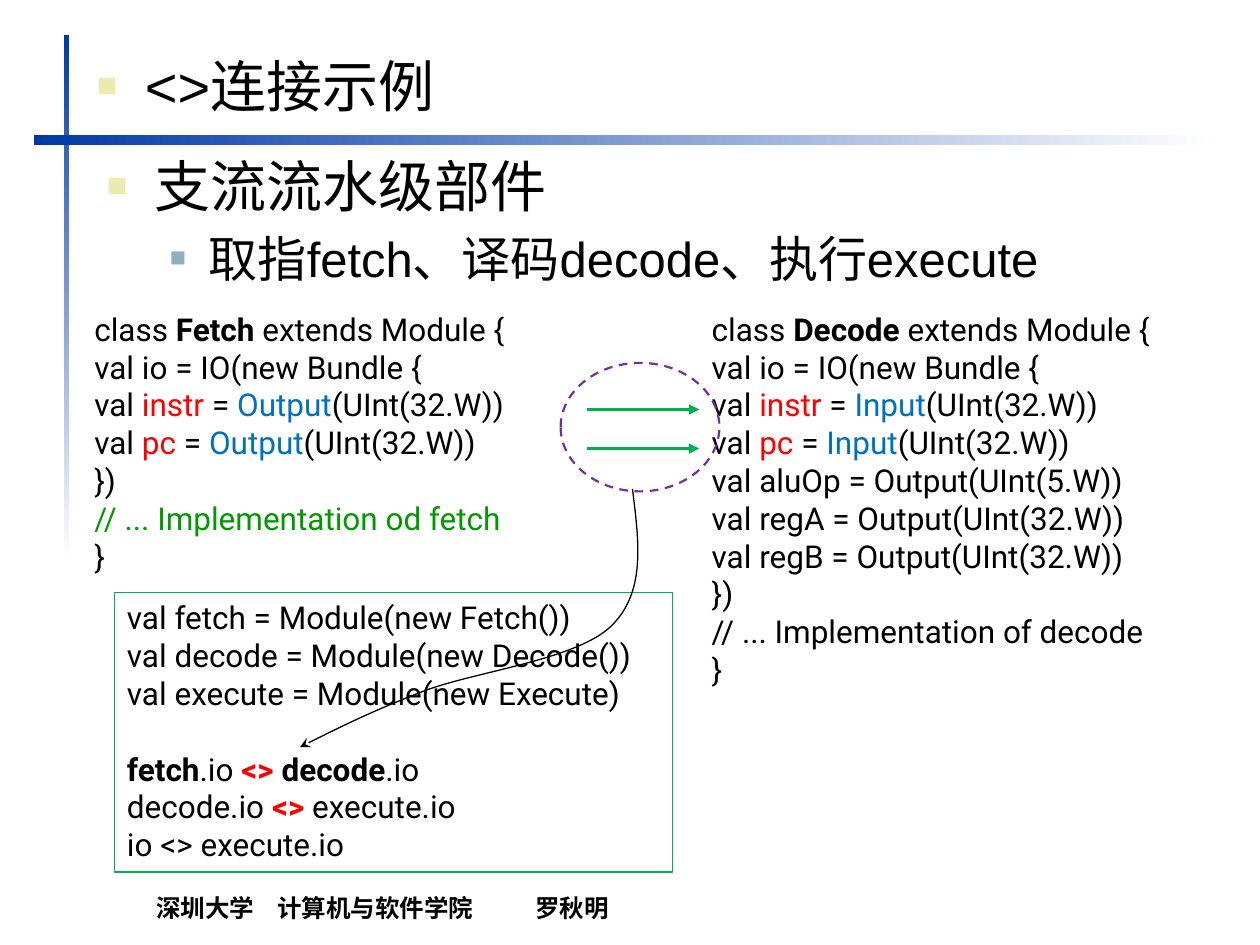
from lxml import etree
from pptx import Presentation
from pptx.dml.color import RGBColor
from pptx.enum.dml import MSO_LINE
from pptx.enum.shapes import MSO_CONNECTOR, MSO_SHAPE
from pptx.enum.text import MSO_ANCHOR, PP_ALIGN
from pptx.oxml.ns import qn
from pptx.util import Inches, Pt

BLACK = RGBColor(0x00, 0x00, 0x00)
WHITE = RGBColor(0xFF, 0xFF, 0xFF)
RED = RGBColor(0xFF, 0x00, 0x00)
BLUE = RGBColor(0x00, 0x70, 0xC0)
NAVY = RGBColor(0x00, 0x39, 0xA6)
GREEN = RGBColor(0x00, 0xB0, 0x50)
COMMENT_GREEN = RGBColor(0x00, 0x9A, 0x00)
PURPLE = RGBColor(0x70, 0x30, 0xA0)
BOLD = "bold"

# Text: left indent, hanging, bullet colour, bullet size (%), font size
LEVELS = [(0.38, 0.38, "ECEAAC", 60, 32), (0.81, 0.31, "91AFBF", 55, 28)]
TITLE = "<>连接示例"
BODY = ["支流流水级部件", "取指fetch、译码decode、执行execute"]
FOOTER = "深圳大学\t计算机与软件学院\t罗秋明"
FOOTER_TABS = [0.96, 3.01]


def module_head(name, direction):
    """Lines that the two module classes share; a run is (text, style, ...)."""
    return [
        [("class ",), (name, BOLD), (" extends Module {",)],
        [("val io = IO(new Bundle {",)],
        [("val ",), ("instr ", RED), ("= ",), (direction, BLUE), ("(UInt(32.W))",)],
        [("val ",), ("pc", RED), (" = ",), (direction, BLUE), ("(UInt(32.W))",)],
    ]


FETCH_CODE = module_head("Fetch", "Output") + [
    [("})",)],
    [("// ... Implementation od fetch", COMMENT_GREEN)],
    [("}",)],
]
DECODE_CODE = module_head("Decode", "Input") + [
    [("val aluOp = Output(UInt(5.W))",)],
    [("val regA = Output(UInt(32.W))",)],
    [("val regB = Output(UInt(32.W))",)],
    [("})",)],
    [("// ... Implementation of decode",)],
    [("}",)],
]
INSTANCE_CODE = [
    [("val fetch = Module(new Fetch())",)],
    [("val decode = Module(new Decode())",)],
    [("val execute = Module(new Execute)",)],
]
CONNECT_CODE = [
    [("fetch", BOLD), (".io ",), ("<> ", RED, BOLD), ("decode", BOLD), (".io",)],
    [("decode.io ",), ("<>", RED, BOLD), (" execute.io",)],
    [("io <> execute.io",)],
]

# Start point, then three points for each cubic curve
CURVE = [
    (5.02, 3.88),
    (5.07, 4.29), (5.13, 4.70), (4.85, 4.97),
    (4.57, 5.24), (3.76, 5.33), (3.35, 5.49),
    (2.94, 5.65), (2.66, 5.79), (2.38, 5.93),
]
ARROW_TOPS = [3.25, 3.56]


def style_font(font, name, size, color=BLACK, bold=False):
    font.name, font.size, font.bold = name, Pt(size), bold
    font.color.rgb = color


def add_child(parent, tag, **attributes):
    return etree.SubElement(parent, qn(tag), attributes)


def add_shape(slide, kind, box):
    shape = slide.shapes.add_shape(kind, *map(Inches, box))
    shape.shadow.inherit = False
    return shape


def add_text_box(slide, box):
    shape = slide.shapes.add_textbox(*map(Inches, box))
    shape.text_frame.word_wrap = True
    return shape


def add_gradient_bar(slide, box, angle):
    bar = add_shape(slide, MSO_SHAPE.RECTANGLE, box)
    bar.line.fill.background()
    bar.fill.gradient()
    bar.fill.gradient_angle = angle
    for stop, color in zip(bar.fill.gradient_stops, (NAVY, WHITE)):
        stop.color.rgb = color


def next_paragraph(frame, index):
    return frame.add_paragraph() if index else frame.paragraphs[0]


def write_bullets(frame, lines):
    frame.word_wrap = True
    frame.vertical_anchor = MSO_ANCHOR.TOP
    for level, text in enumerate(lines):
        indent, hanging, color, bullet_size, size = LEVELS[level]
        paragraph = next_paragraph(frame, level)
        paragraph.text, paragraph.level = text, level
        paragraph.alignment = PP_ALIGN.LEFT
        properties = paragraph._p.get_or_add_pPr()
        properties.set("marL", str(Inches(indent)))
        properties.set("indent", str(-Inches(hanging)))
        add_child(add_child(properties, "a:buClr"), "a:srgbClr", val=color)
        add_child(properties, "a:buSzPct", val=str(bullet_size * 1000))
        add_child(properties, "a:buFont", typeface="Arial")
        add_child(properties, "a:buChar", char="■")
        paragraph.space_before = Pt(size * 0.2 if level else 0)
        style_font(paragraph.font, "Arial", size)


def write_code(frame, lines):
    for index, line in enumerate(lines):
        paragraph = next_paragraph(frame, index)
        paragraph.alignment = PP_ALIGN.LEFT
        style_font(paragraph.font, "Roboto", 18)
        for text, *styles in line:
            run = paragraph.add_run()
            run.text = text
            for style in styles:
                if style == BOLD:
                    run.font.bold = True
                else:
                    run.font.color.rgb = style


def style_line(shape, color, width, arrowhead=None):
    shape.line.color.rgb = color
    shape.line.width = Pt(width)
    if arrowhead:
        add_child(shape.line._get_or_add_ln(), "a:tailEnd", type=arrowhead)


def add_curve(slide, points):
    """Draw a freeform, then turn each three line segments into one cubic curve."""
    start_point, *other_points = [(Inches(x), Inches(y)) for x, y in points]
    builder = slide.shapes.build_freeform(*start_point)
    builder.add_line_segments(other_points, close=False)
    shape = builder.convert_to_shape()
    shape.shadow.inherit = False
    shape.fill.background()
    segments = list(shape._element.iter(qn("a:lnTo")))
    for start in range(0, len(segments), 3):
        curve = add_child(segments[start].getparent(), "a:cubicBezTo")
        for segment in segments[start:start + 3]:
            curve.append(segment[0])
            segment.getparent().remove(segment)
    return shape


def main():
    presentation = Presentation()
    presentation.slide_width, presentation.slide_height = Inches(10), Inches(7.5)
    slide = presentation.slides.add_slide(presentation.slide_layouts[5])

    add_gradient_bar(slide, (0.51, 0.28, 0.04, 4.17), 270)
    add_gradient_bar(slide, (0.27, 1.07, 9.37, 0.08), 0)

    footer = add_text_box(slide, (1.14, 6.98, 9.05, 0.39)).text_frame
    footer.vertical_anchor = MSO_ANCHOR.BOTTOM
    paragraph = footer.paragraphs[0]
    paragraph.text = FOOTER
    tabs = add_child(paragraph._p.get_or_add_pPr(), "a:tabLst")
    for position in FOOTER_TABS:
        add_child(tabs, "a:tab", pos=str(Inches(position)), algn="l")
    style_font(paragraph.font, "Arial", 14, bold=True)

    title = slide.shapes.title
    title.left, title.top, title.width, title.height = map(Inches, (0.67, 0.36, 5.67, 0.71))
    write_bullets(title.text_frame, [TITLE])
    write_bullets(add_text_box(slide, (0.75, 1.15, 9.05, 1.5)).text_frame, BODY)

    write_code(add_text_box(slide, (5.55, 2.41, 4.02, 3.43)).text_frame, DECODE_CODE)
    write_code(add_text_box(slide, (0.65, 2.41, 4.02, 2.22)).text_frame, FETCH_CODE)

    for top in ARROW_TOPS:
        ends = map(Inches, (4.66, top, 5.55, top))
        arrow = slide.shapes.add_connector(MSO_CONNECTOR.STRAIGHT, *ends)
        style_line(arrow, GREEN, 1.25, "triangle")
        add_child(arrow._element.spPr, "a:effectLst")

    top_level = add_shape(slide, MSO_SHAPE.RECTANGLE, (0.91, 4.7, 4.43, 2.22))
    top_level.fill.background()
    style_line(top_level, GREEN, 0.75)
    frame = top_level.text_frame
    frame.vertical_anchor = MSO_ANCHOR.TOP
    write_code(frame, INSTANCE_CODE + CONNECT_CODE)
    frame.paragraphs[len(INSTANCE_CODE)].space_before = Pt(21.6)

    link_ring = add_shape(slide, MSO_SHAPE.OVAL, (4.45, 2.88, 1.26, 1.02))
    link_ring.fill.background()
    style_line(link_ring, PURPLE, 1.25)
    link_ring.line.dash_style = MSO_LINE.DASH
    style_line(add_curve(slide, CURVE), BLACK, 0.75, "stealth")

    presentation.save("out.pptx")


if __name__ == "__main__":
    main()
